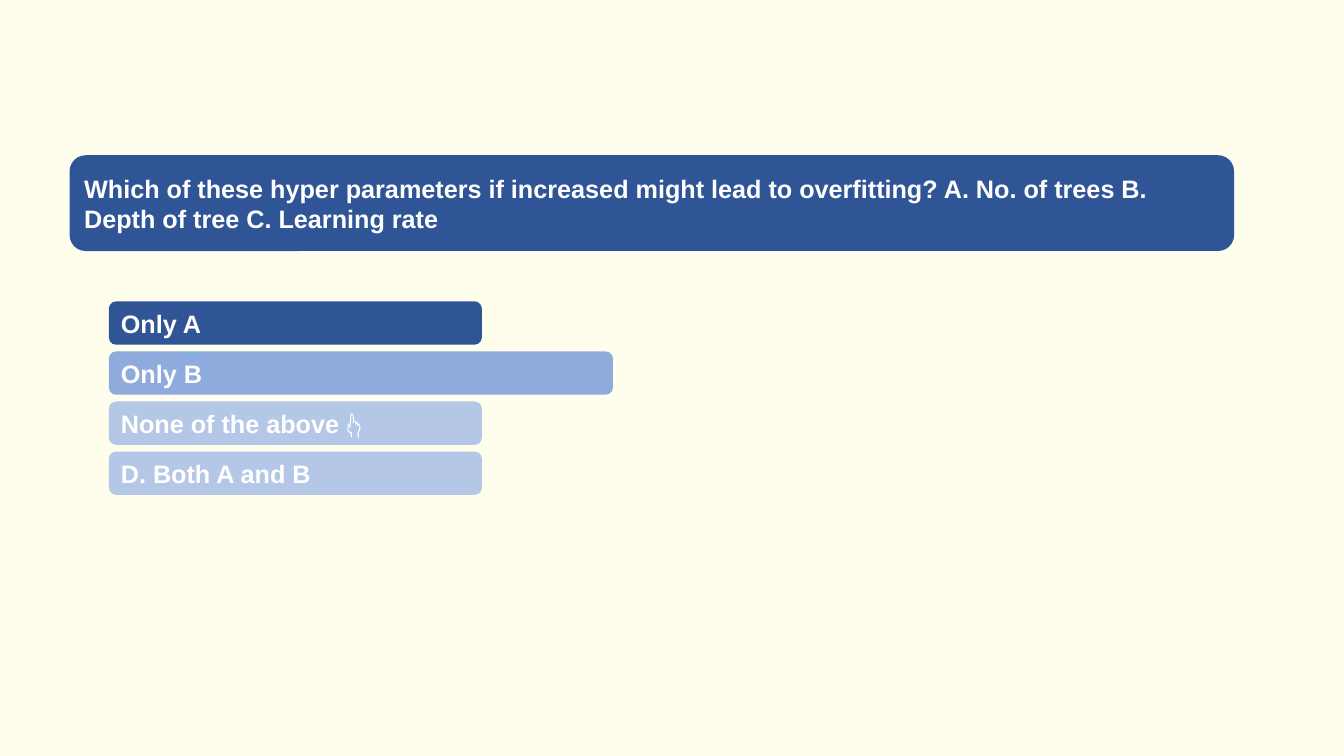
from pptx import Presentation
from pptx.dml.color import RGBColor
from pptx.enum.shapes import MSO_SHAPE
from pptx.enum.text import MSO_ANCHOR, PP_ALIGN
from pptx.util import Inches, Pt

ROUNDED = MSO_SHAPE.ROUNDED_RECTANGLE
MIDDLE = MSO_ANCHOR.MIDDLE
LEFT = PP_ALIGN.LEFT

CREAM = RGBColor(0xFF, 0xFE, 0xED)
WHITE = RGBColor(0xFF, 0xFF, 0xFF)
NAVY = RGBColor(0x2F, 0x55, 0x97)
BLUE = RGBColor(0x8F, 0xAA, 0xDC)
PALE_BLUE = RGBColor(0xB4, 0xC7, 0xE7)

QUESTION = (
    "Which of these hyper parameters if increased might lead to overfitting? "
    "A. No. of trees B. Depth of tree C. Learning rate"
)
ANSWER_HEIGHT = 0.43
# Text, fill and share of the full width
ANSWERS = [
    ("Only A", NAVY, 0.74),
    ("Only B", BLUE, 1),
    ("None of the above 👆", PALE_BLUE, 0.74),
    ("D. Both A and B", PALE_BLUE, 0.74),
]


def add_bar(slide, text, fill, left, top, width, height):
    shape = slide.shapes.add_shape(
        ROUNDED, Inches(left), Inches(top), Inches(width), Inches(height)
    )
    shape.shadow.inherit = False
    shape.fill.solid()
    shape.fill.fore_color.rgb = fill
    shape.line.fill.background()
    text_frame = shape.text_frame
    text_frame.text = text
    text_frame.word_wrap = True
    text_frame.vertical_anchor = MIDDLE
    paragraph = text_frame.paragraphs[0]
    paragraph.alignment = LEFT
    font = paragraph.runs[0].font
    font.name = "Arial"
    font.size = Pt(18)
    font.bold = True
    font.color.rgb = WHITE


def add_answers(slide, left, top, width, height):
    """Spread the answer bars evenly from the top to the bottom of the box."""
    pitch = (height - ANSWER_HEIGHT) / (len(ANSWERS) - 1)
    for index, (text, fill, share) in enumerate(ANSWERS):
        add_bar(slide, text, fill, left, top + index * pitch, width * share, ANSWER_HEIGHT)


def add_quiz_slide(presentation):
    blank_layout = presentation.slide_layouts[6]
    slide = presentation.slides.add_slide(blank_layout)
    slide.background.fill.solid()
    slide.background.fill.fore_color.rgb = CREAM
    add_bar(slide, QUESTION, NAVY, 0.69, 1.54, 11.55, 0.95)
    add_answers(slide, 1.08, 2.99, 5, 1.92)


def main():
    presentation = Presentation()
    presentation.slide_width = Inches(13.33)
    presentation.slide_height = Inches(7.5)
    add_quiz_slide(presentation)
    presentation.save("out.pptx")


if __name__ == "__main__":
    main()
